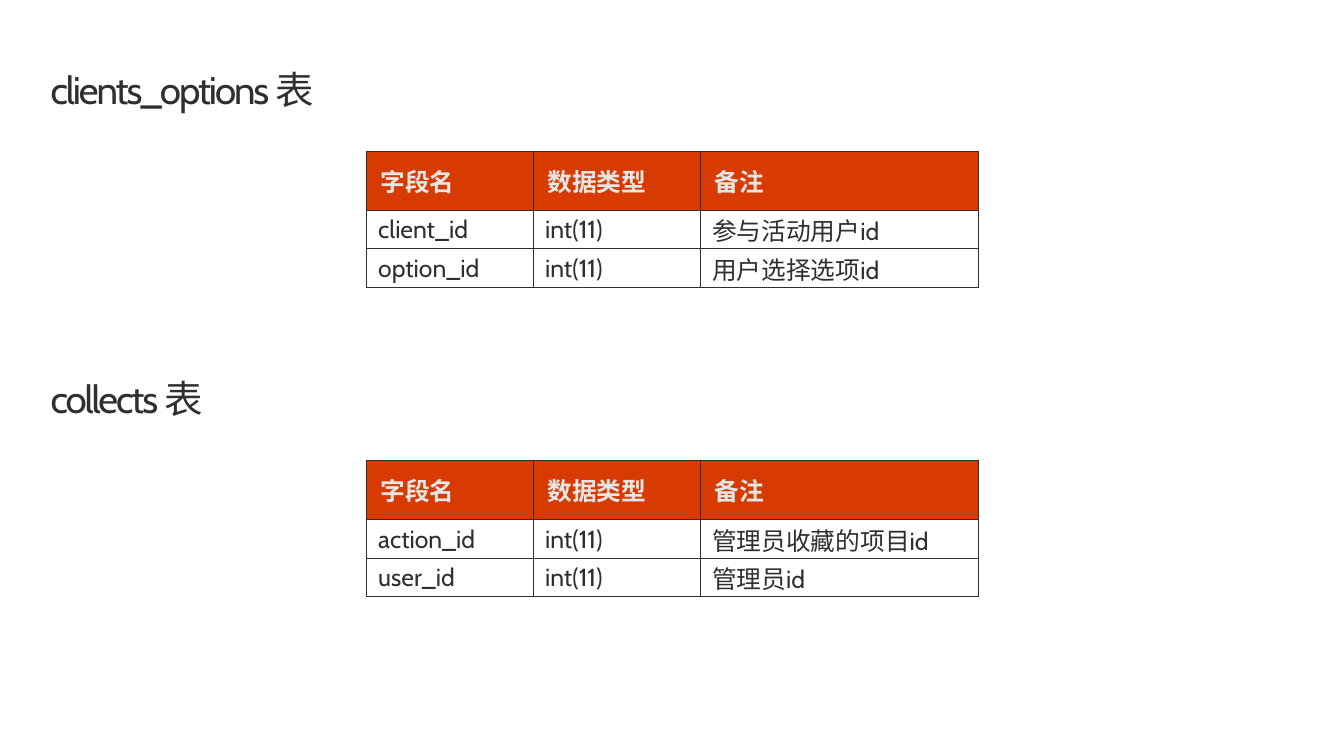
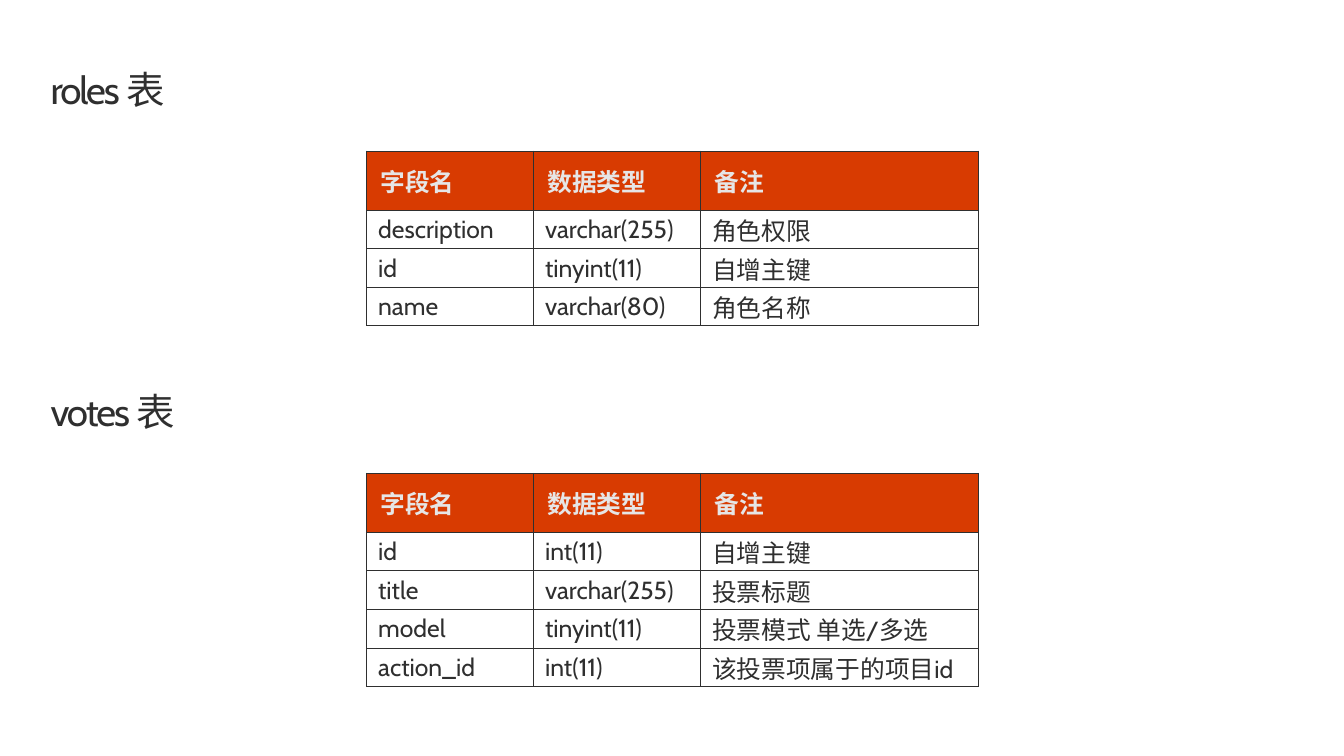
import dataclasses

import lxml.etree
import pptx
import pptx.dml.color
import pptx.enum.text
import pptx.oxml.ns
import pptx.util

Cm = pptx.util.Cm
Pt = pptx.util.Pt


# Colours, type sizes and measures (cm) shared by the slides
@dataclasses.dataclass(frozen=True)
class Theme:
    font: str = "Cabin"
    ink: str = "2F2F2F"
    pale: str = "E6E6E6"
    band: str = "D83B01"
    title: int = 28
    body: int = 18
    lead: int = 32
    track: int = -150
    rule: float = 0.5
    wide: float = 34.54
    high: float = 19.43
    left: float = 1.3
    top: float = 1.75
    span: float = 32.03
    drop: float = 2.13
    grid: float = 9.42
    cols: tuple = (4.29, 4.29, 7.14)
    head: float = 1.52
    row: float = 0.99
    head_pad: tuple = (0.36, 0.15, 0.36, 0.15)
    row_pad: tuple = (0.3, 0.03, 0.03, 0)


THEME = Theme()
HEADS = ("字段名", "数据类型", "备注")

# Each slide: (title, top of title, rows)
SLIDES = [
    [
        ("clients_options 表", THEME.top, [
            ("client_id", "int(11)", "参与活动用户id"),
            ("option_id", "int(11)", "用户选择选项id"),
        ]),
        ("collects 表", 9.7, [
            ("action_id", "int(11)", "管理员收藏的项目id"),
            ("user_id", "int(11)", "管理员id"),
        ]),
    ],
    [
        ("roles 表", THEME.top, [
            ("description", "varchar(255)", "角色权限"),
            ("id", "tinyint(11)", "自增主键"),
            ("name", "varchar(80)", "角色名称"),
        ]),
        ("votes 表", 10.03, [
            ("id", "int(11)", "自增主键"),
            ("title", "varchar(255)", "投票标题"),
            ("model", "tinyint(11)", "投票模式 单选/多选"),
            ("action_id", "int(11)", "该投票项属于的项目id"),
        ]),
    ],
]


def paint(run, size, tint, bold=False):
    font = run.font
    font.name = THEME.font
    font.size = Pt(size)
    font.bold = bold
    font.color.rgb = pptx.dml.color.RGBColor.from_string(tint)


def pad(box, sides):
    box.margin_left, box.margin_top, box.margin_right, box.margin_bottom = map(Cm, sides)


def add_title(slide, text, top):
    box = slide.shapes.add_textbox(Cm(THEME.left), Cm(top), Cm(THEME.span), Cm(1.14))
    frame = box.text_frame
    frame.word_wrap = True
    pad(frame, (0, 0, 0, 0))
    frame.text = text
    line = frame.paragraphs[0]
    line.line_spacing = Pt(THEME.lead)
    run = line.runs[0]
    paint(run, THEME.title, THEME.ink)
    run.font._element.set("spc", str(THEME.track))


def add_rules(cell):
    props = cell._tc.get_or_add_tcPr()
    name = pptx.oxml.ns.qn
    for side in ("lnL", "lnR", "lnT", "lnB"):
        edge = lxml.etree.SubElement(props, name("a:" + side), w=str(Pt(THEME.rule)))
        fill = lxml.etree.SubElement(edge, name("a:solidFill"))
        lxml.etree.SubElement(fill, name("a:srgbClr"), val=THEME.ink)


def fill_cell(cell, text, head):
    cell.text_frame.text = text
    cell.vertical_anchor = pptx.enum.text.MSO_ANCHOR.MIDDLE
    pad(cell, THEME.head_pad if head else THEME.row_pad)
    paint(cell.text_frame.paragraphs[0].runs[0], THEME.body,
          THEME.pale if head else THEME.ink, head)
    add_rules(cell)
    if head:
        cell.fill.solid()
        cell.fill.fore_color.rgb = pptx.dml.color.RGBColor.from_string(THEME.band)
    else:
        cell.fill.background()


def add_grid(slide, rows, top):
    lines = [HEADS, *rows]
    highs = [THEME.head] + [THEME.row] * len(rows)
    table = slide.shapes.add_table(
        len(lines), len(HEADS), Cm(THEME.grid), Cm(top),
        Cm(sum(THEME.cols)), Cm(sum(highs))).table
    table.horz_banding = False
    for col, wide in zip(table.columns, THEME.cols):
        col.width = Cm(wide)
    for r, (line, high) in enumerate(zip(lines, highs)):
        table.rows[r].height = Cm(high)
        for c, text in enumerate(line):
            fill_cell(table.cell(r, c), text, r == 0)


def main():
    deck = pptx.Presentation()
    deck.slide_width = Cm(THEME.wide)
    deck.slide_height = Cm(THEME.high)
    blank = deck.slide_layouts[6]
    for parts in SLIDES:
        slide = deck.slides.add_slide(blank)
        # A title with its table below, for each part
        for title, top, rows in parts:
            add_title(slide, title, top)
            add_grid(slide, rows, top + THEME.drop)
    deck.save("out.pptx")


if __name__ == "__main__":
    main()
